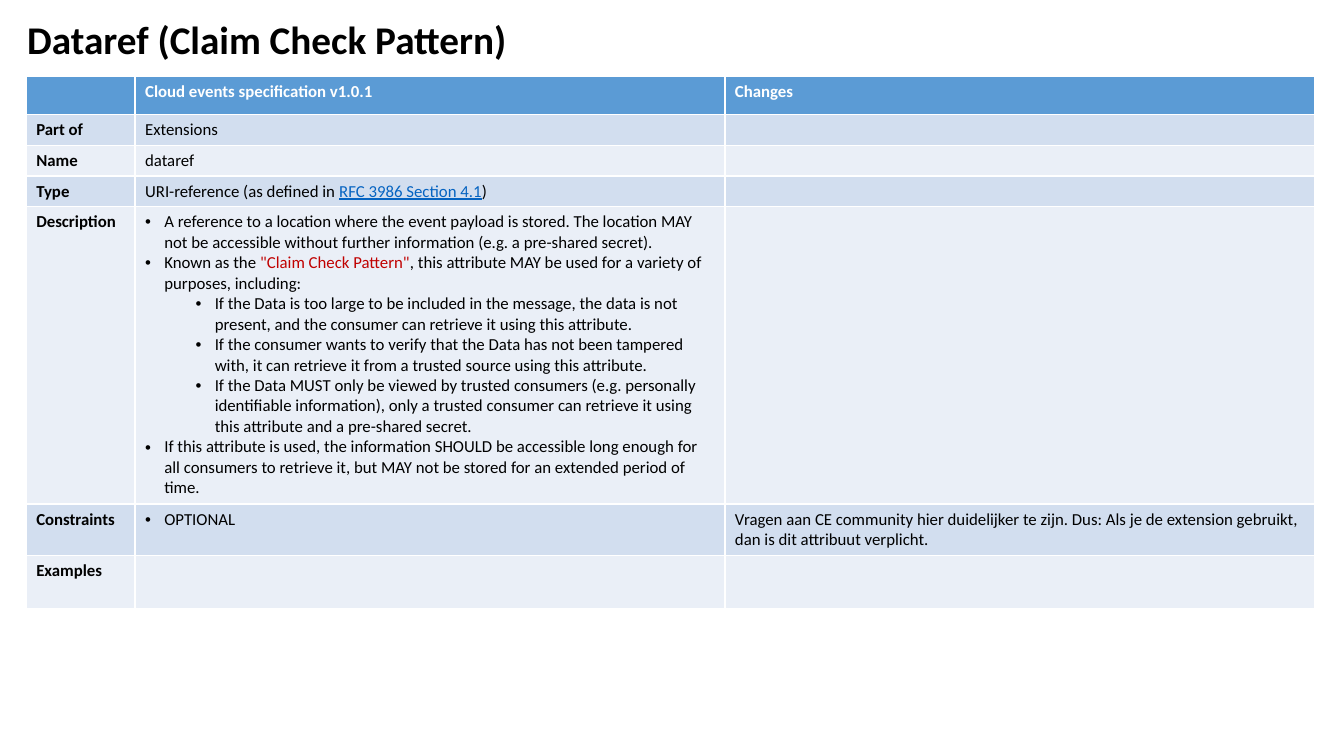
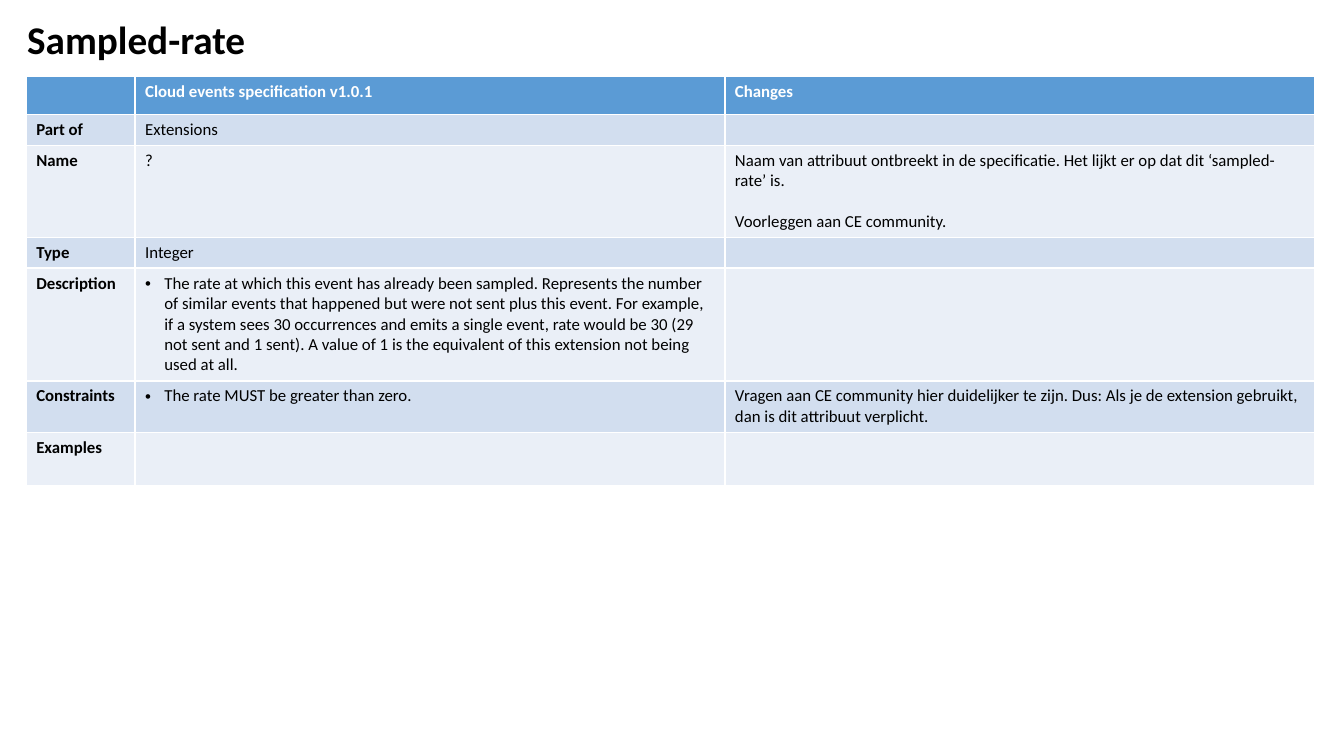
from lxml import etree
from pptx import Presentation
from pptx.dml.color import RGBColor
from pptx.enum.text import MSO_ANCHOR, PP_ALIGN
from pptx.oxml.ns import qn
from pptx.util import Inches, Pt

FONT = "Calibri"
TEXT_SIZE = 12
BLACK, WHITE = "000000", "FFFFFF"
HEADER_FILL = "5B9BD5"
BAND_FILLS = ["EAEFF7", "D2DEEF"]
# phrase: (colour, underlined)
HIGHLIGHTS = {
    "RFC 3986 Section 4.1": ("0563C1", True),
    '"Claim Check Pattern"': ("C00000", False),
}

MARGIN, TABLE_TOP = 0.26, 0.76
LABEL_WIDTH, TEXT_WIDTH = 1.08, 5.85
HEADER_HEIGHT, LINE_ROW, TWO_LINE_ROW, LAST_ROW = 0.38, 0.3, 0.51, 0.53
BULLET_INDENT, LEVEL_STEP = 0.19, 0.5

HEADER = ["", "Cloud events specification v1.0.1", "Changes"]
LABELS = ["Part of", "Name", "Type", "Description", "Constraints", "Examples"]
ASK_COMMUNITY = (
    "Vragen aan CE community hier duidelijker te zijn. "
    "Dus: Als je de extension gebruikt, dan is dit attribuut verplicht."
)

# Each row: height, specification, changes.
# A cell is a text, a list of texts, or a list of (bullet level, text).
SLIDES = [
    ("Dataref (Claim Check Pattern)", [
        (LINE_ROW, "Extensions", ""),
        (LINE_ROW, "dataref", ""),
        (LINE_ROW, "URI-reference (as defined in RFC 3986 Section 4.1)", ""),
        (2.95, [
            (0, "A reference to a location where the event payload is stored. The location MAY "
                "not be accessible without further information (e.g. a pre-shared secret)."),
            (0, 'Known as the "Claim Check Pattern", this attribute MAY be used for a variety of '
                "purposes, including:"),
            (1, "If the Data is too large to be included in the message, the data is not "
                "present, and the consumer can retrieve it using this attribute."),
            (1, "If the consumer wants to verify that the Data has not been tampered "
                "with, it can retrieve it from a trusted source using this attribute."),
            (1, "If the Data MUST only be viewed by trusted consumers (e.g. personally "
                "identifiable information), only a trusted consumer can retrieve it using "
                "this attribute and a pre-shared secret."),
            (0, "If this attribute is used, the information SHOULD be accessible long enough for "
                "all consumers to retrieve it, but MAY not be stored for an extended period of "
                "time."),
        ], ""),
        (TWO_LINE_ROW, [(0, "OPTIONAL")], ASK_COMMUNITY),
        (LAST_ROW, "", ""),
    ]),
    ("Sampled-rate", [
        (LINE_ROW, "Extensions", ""),
        (0.91, "?", [
            "Naam van attribuut ontbreekt in de specificatie. "
            "Het lijkt er op dat dit ‘sampled-rate’ is.",
            "Voorleggen aan CE community.",
        ]),
        (LINE_ROW, "Integer", ""),
        (1.12, [
            (0, "The rate at which this event has already been sampled. Represents the number "
                "of similar events that happened but were not sent plus this event. For example, "
                "if a system sees 30 occurrences and emits a single event, rate would be 30 (29 "
                "not sent and 1 sent). A value of 1 is the equivalent of this extension not being "
                "used at all."),
        ], ""),
        (TWO_LINE_ROW, [(0, "The rate MUST be greater than zero.")], ASK_COMMUNITY),
        (LAST_ROW, "", ""),
    ]),
]


def color(hex_code):
    return RGBColor.from_string(hex_code)


def fill_cell(cell, content, fill, text_color, bold):
    """Write the paragraphs of a cell, with bullets and highlighted phrases."""
    cell.fill.solid()
    cell.fill.fore_color.rgb = color(fill)
    items = content if isinstance(content, list) else [content]
    for index, item in enumerate(items):
        level, text = item if isinstance(item, tuple) else (None, item)
        frame = cell.text_frame
        paragraph = frame.add_paragraph() if index else frame.paragraphs[0]
        if level is not None:
            paragraph.level = level
            properties = paragraph._p.get_or_add_pPr()
            properties.set("marL", str(Inches(BULLET_INDENT + level * LEVEL_STEP)))
            properties.set("indent", str(-Inches(BULLET_INDENT)))
            etree.SubElement(properties, qn("a:buFont"), typeface="Arial")
            etree.SubElement(properties, qn("a:buChar"), char="•")
        elif index:
            paragraph.space_before = Pt(14.6)
        paragraph.font.name = FONT
        paragraph.font.size = Pt(TEXT_SIZE)
        paragraph.font.bold = bold
        paragraph.font.color.rgb = color(text_color)

        phrase = next((key for key in HIGHLIGHTS if key in text), None)
        for part in text.partition(phrase) if phrase else [text]:
            if not part:
                continue
            run = paragraph.add_run()
            run.text = part
            if part == phrase:
                phrase_color, underlined = HIGHLIGHTS[phrase]
                run.font.color.rgb = color(phrase_color)
                run.font.underline = underlined
        if not text:  # keeps an empty cell from growing to the default size
            etree.SubElement(paragraph._p, qn("a:endParaRPr"), sz=str(TEXT_SIZE * 100))


presentation = Presentation()
presentation.slide_width = Inches(13.33)
presentation.slide_height = Inches(7.5)
title_only = presentation.slide_layouts[5]

for title_text, rows in SLIDES:
    slide = presentation.slides.add_slide(title_only)

    title = slide.shapes.title
    title.left, title.top = Inches(0.17), Inches(0.07)
    title.width, title.height = Inches(5.95), Inches(0.69)
    title.text_frame.text = title_text
    title.text_frame.vertical_anchor = MSO_ANCHOR.MIDDLE
    paragraph = title.text_frame.paragraphs[0]
    paragraph.alignment = PP_ALIGN.LEFT
    paragraph.line_spacing = 0.9
    paragraph.font.name = FONT
    paragraph.font.size = Pt(28)
    paragraph.font.bold = True
    paragraph.font.color.rgb = color(BLACK)

    heights = [HEADER_HEIGHT] + [height for height, *_ in rows]
    widths = [LABEL_WIDTH, TEXT_WIDTH, TEXT_WIDTH]
    table = slide.shapes.add_table(
        len(heights), len(widths), Inches(MARGIN), Inches(TABLE_TOP),
        Inches(sum(widths)), Inches(sum(heights)),
    ).table
    for column, width in zip(table.columns, widths):
        column.width = Inches(width)
    for row, height in zip(table.rows, heights):
        row.height = Inches(height)

    for column, heading in enumerate(HEADER):
        fill_cell(table.cell(0, column), heading, HEADER_FILL, WHITE, True)
    for row, (label, (_, *contents)) in enumerate(zip(LABELS, rows), start=1):
        for column, content in enumerate([label, *contents]):
            fill_cell(table.cell(row, column), content, BAND_FILLS[row % 2], BLACK, column == 0)

presentation.save("out.pptx")
